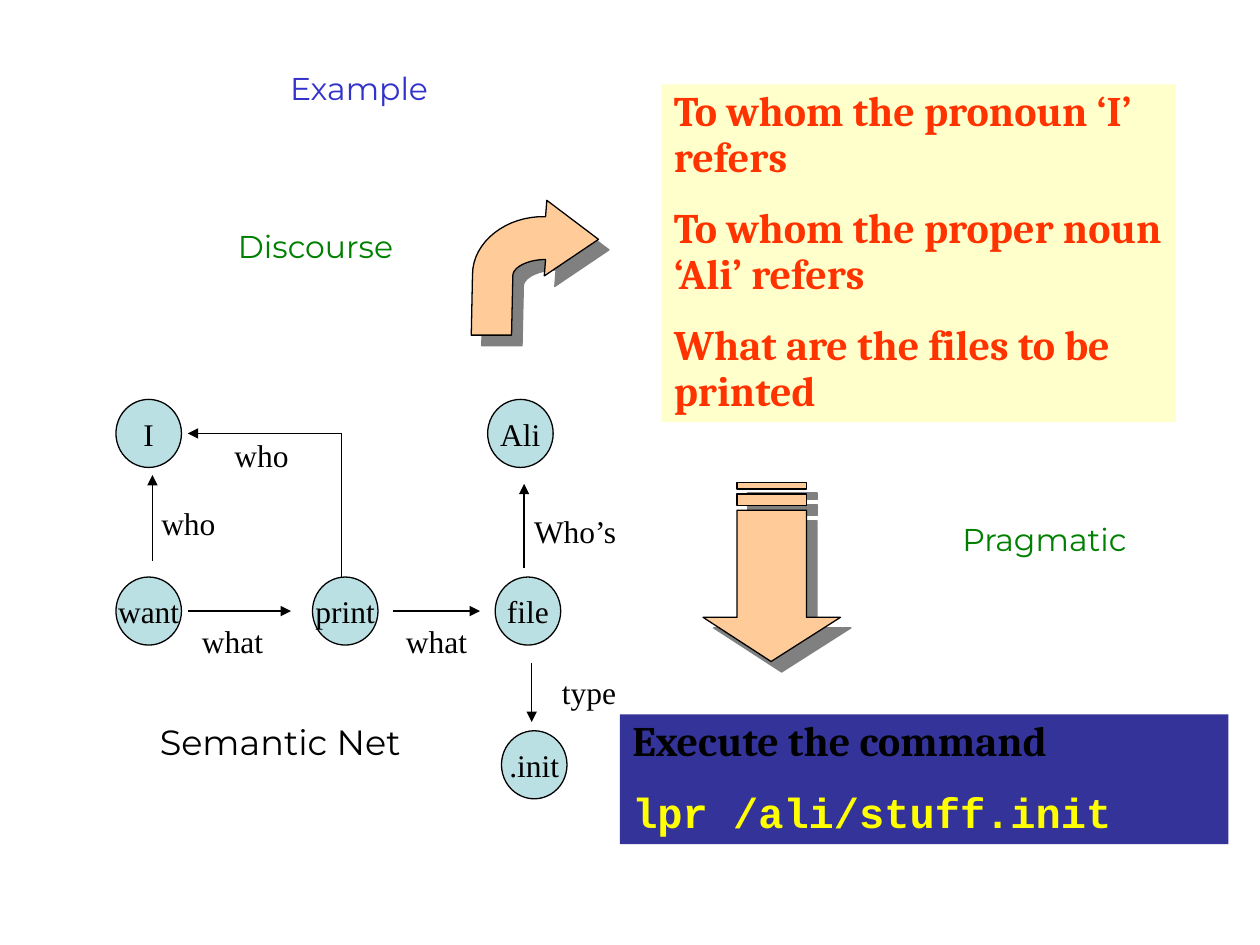
from dataclasses import dataclass

from lxml import etree
from pptx import Presentation
from pptx.dml.color import RGBColor
from pptx.enum import shapes, text
from pptx.oxml import ns
from pptx.util import Inches, Pt

TIMES = "Times New Roman"
SANS = "Montserrat"
SERIF = "Cambria"
MONO = "Courier New"
BLACK = "000000"
GREEN = "008000"
CENTER = text.PP_ALIGN.CENTER
LEFT = text.PP_ALIGN.LEFT
TOP = text.MSO_ANCHOR.TOP
MIDDLE = text.MSO_ANCHOR.MIDDLE


@dataclass
class Word:
    name: str
    x: float
    y: float


@dataclass
class Edge:
    start: tuple
    end: tuple
    head: bool = True


@dataclass
class Label:
    name: str
    box: tuple
    size: int = 18
    color: str = GREEN
    align: int = CENTER


@dataclass
class Line:
    name: str
    font: str
    color: str


@dataclass
class Panel:
    box: tuple
    fill: str
    lines: list


NODES = [
    Word("I", 0.92, 3.17), Word("want", 0.92, 4.58), Word("print", 2.48, 4.58),
    Word("Ali", 3.87, 3.17), Word(".init", 3.98, 5.8), Word("file", 3.93, 4.58),
]
EDGES = [
    Edge((1.21, 4.45), (1.21, 3.77)), Edge((1.49, 4.85), (2.31, 4.85)),
    Edge((3.12, 4.85), (3.81, 4.85)), Edge((4.16, 4.51), (4.16, 3.84)),
    Edge((4.22, 5.26), (4.22, 5.73)), Edge((2.71, 4.58), (2.71, 3.44), False),
    Edge((2.71, 3.44), (1.49, 3.44)),
]
ROLES = [
    Word("who", 1.09, 3.98), Word("what", 1.44, 4.92), Word("who", 1.67, 3.44),
    Word("Who’s", 4.16, 4.04), Word("what", 3.06, 4.92), Word("type", 4.27, 5.32),
]
LABELS = [
    Label("Semantic Net", (1.17, 5.67, 2.5, 0.44), 20, BLACK, LEFT),
    Label("Discourse", (1.42, 1.75, 2.17, 0.83)),
    Label("Pragmatic", (7, 4.08, 2.58, 1)),
]
TITLE = Label("Example", (1.67, 0.5, 2.36, 0.96), 18, "3333CC")
ASKS = [
    "To whom the pronoun ‘I’ refers",
    "To whom the proper noun ‘Ali’ refers",
    "What are the files to be printed",
]
PANELS = [
    Panel((5.25, 0.67, 4.08, 2.68), "FFFFCC",
          [Line(ask, SERIF, "FF3300") for ask in ASKS]),
    Panel((4.92, 5.67, 4.83, 1.03), "333399",
          [Line("Execute the command", SERIF, BLACK),
           Line("lpr /ali/stuff.init", MONO, "FFFF00")]),
]


def rgb(code: str) -> RGBColor:
    return RGBColor.from_string(code)


def place(box: tuple) -> list:
    return [Inches(v) for v in box]


def style(par, font: str, size: int, color: str, bold: bool = False) -> None:
    for run in par.runs:
        run.font.name = font
        run.font.size = Pt(size)
        run.font.bold = bold
        run.font.color.rgb = rgb(color)


def write(shape, name: str, font: str, size: int, color: str,
          align=CENTER, anchor=MIDDLE, wrap: bool = False) -> None:
    frame = shape.text_frame
    frame.text = name
    frame.word_wrap = wrap
    frame.auto_size = text.MSO_AUTO_SIZE.NONE
    frame.vertical_anchor = anchor
    frame.paragraphs[0].alignment = align
    style(frame.paragraphs[0], font, size, color)


def paint(shape, fill: str) -> None:
    shape.fill.solid()
    shape.fill.fore_color.rgb = rgb(fill)
    shape.line.color.rgb = rgb(BLACK)
    shape.line.width = Pt(0.75)
    shape.shadow.inherit = False


def add_node(slide, node: Word) -> None:
    oval = slide.shapes.add_shape(
        shapes.MSO_SHAPE.OVAL, *place((node.x, node.y, 0.52, 0.54)))
    paint(oval, "BBE0E3")
    write(oval, node.name, TIMES, 18, BLACK)


def add_edge(slide, edge: Edge) -> None:
    line = slide.shapes.add_connector(
        shapes.MSO_CONNECTOR.STRAIGHT, *place(edge.start + edge.end))
    line.line.color.rgb = rgb(BLACK)
    line.line.width = Pt(0.75)
    if edge.head:
        etree.SubElement(line.line._get_or_add_ln(), ns.qn("a:tailEnd"), type="triangle")
    etree.SubElement(line._element.spPr, ns.qn("a:effectLst"))


def add_role(slide, role: Word) -> None:
    box = slide.shapes.add_textbox(*place((role.x, role.y, 0.81, 0.34)))
    write(box, role.name, TIMES, 18, BLACK)


def add_label(slide, label: Label) -> None:
    box = slide.shapes.add_textbox(*place(label.box))
    write(box, label.name, SANS, label.size, label.color, label.align, TOP, True)


def add_title(slide, label: Label) -> None:
    title = slide.shapes.title
    title.left, title.top, title.width, title.height = place(label.box)
    write(title, label.name, SANS, label.size, label.color, label.align, TOP, True)


def add_panel(slide, panel: Panel) -> None:
    rect = slide.shapes.add_shape(shapes.MSO_SHAPE.RECTANGLE, *place(panel.box))
    paint(rect, panel.fill)
    rect.line.fill.background()
    frame = rect.text_frame
    frame.word_wrap = True
    frame.vertical_anchor = TOP
    frame.text = "\n".join(line.name for line in panel.lines)
    for i, (par, line) in enumerate(zip(frame.paragraphs, panel.lines)):
        par.alignment = LEFT
        par.line_spacing = 0.9
        par.space_before = Pt(15 if i else 0)
        style(par, line.font, 24, line.color, True)


def curve(a: tuple, b: tuple, c: tuple, d: tuple, steps: int = 16) -> list:
    marks = [i / steps for i in range(steps + 1)]
    return [tuple((1 - t) ** 3 * p + 3 * (1 - t) ** 2 * t * q
                  + 3 * (1 - t) * t ** 2 * r + t ** 3 * s
                  for p, q, r, s in zip(a, b, c, d)) for t in marks]


def add_arrow(slide, loops: list) -> None:
    loops = [[tuple(place(dot)) for dot in loop] for loop in loops]
    pen = slide.shapes.build_freeform(*loops[0][0])
    for i, loop in enumerate(loops):
        if i:
            pen.move_to(*loop[0])
        pen.add_line_segments(loop[1:], close=True)
    arrow = pen.convert_to_shape()
    paint(arrow, "FFCC99")
    glow = arrow._element.spPr.find(ns.qn("a:effectLst"))
    drop = etree.SubElement(glow, ns.qn("a:outerShdw"), dist=str(Pt(8.5)),
                            dir="2700000", algn="ctr", rotWithShape="0")
    etree.SubElement(drop, ns.qn("a:srgbClr"), val="808080")


def main() -> None:
    deck = Presentation()
    deck.slide_width, deck.slide_height = Inches(10), Inches(7.5)
    slide = deck.slides.add_slide(deck.slide_layouts[5])
    add_title(slide, TITLE)
    for draw, items in ((add_node, NODES), (add_edge, EDGES), (add_role, ROLES),
                        (add_label, LABELS), (add_panel, PANELS)):
        for item in items:
            draw(slide, item)
    outer = curve((4.33, 1.72), (4.02, 1.71), (3.75, 1.92), (3.75, 2.18))
    inner = curve((4.07, 2.19), (4.07, 2.12), (4.19, 2.06), (4.33, 2.06))
    add_arrow(slide, [[(4.75, 1.9), (4.34, 1.59), *outer, (3.74, 2.66),
                       (4.06, 2.66), *inner, (4.32, 2.19)]])
    bars = [[(6.4, top), (5.85, top), (5.85, low), (6.4, low)]
            for top, low in ((3.92, 4.01), (3.83, 3.88))]
    add_arrow(slide, [[(6.67, 4.9), (6.4, 4.9), (6.4, 4.05), (5.85, 4.05),
                       (5.85, 4.9), (5.58, 4.9), (6.12, 5.25)], *bars])
    deck.save("out.pptx")


if __name__ == "__main__":
    main()
